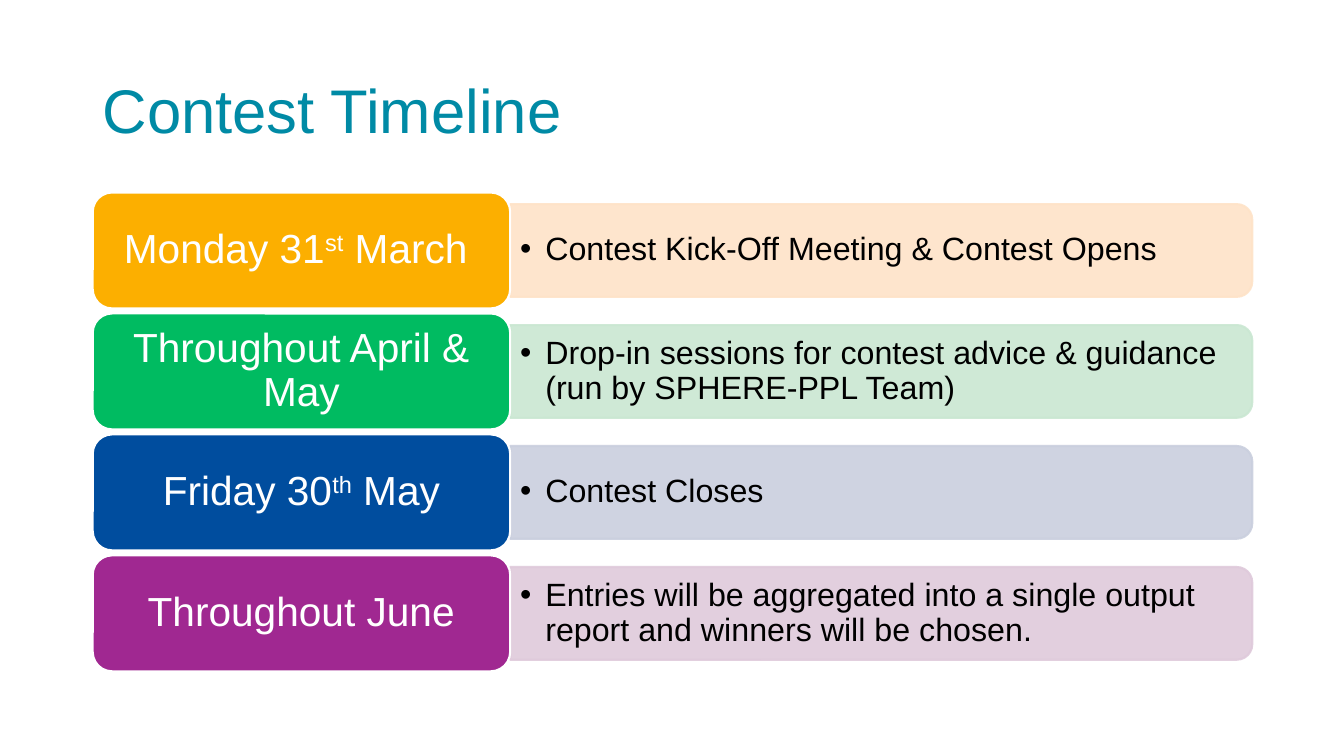
from pptx import Presentation
from pptx import util as u
from pptx.dml.color import RGBColor
from pptx.enum import shapes, text
from pptx.oxml import ns
from lxml import etree

SLIDE_W, SLIDE_H = 13.33, 7.5
TEAL = RGBColor(0x00, 0x8A, 0xA5)
WHITE = RGBColor(0xFF, 0xFF, 0xFF)
BLACK = RGBColor(0x00, 0x00, 0x00)
AMBER, PEACH = RGBColor(0xFC, 0xAF, 0x00), RGBColor(0xFE, 0xE3, 0xC8)
GREEN, MINT = RGBColor(0x00, 0xBB, 0x61), RGBColor(0xCA, 0xE7, 0xD2)
BLUE, MIST = RGBColor(0x00, 0x4D, 0x9E), RGBColor(0xCA, 0xCF, 0xDE)
PURPLE, LILAC = RGBColor(0xA0, 0x28, 0x91), RGBColor(0xDF, 0xCA, 0xDB)

# Date parts alternate between normal and superscript
STAGES = [
    (["Monday 31", "st", " March "], "Contest Kick-Off Meeting & Contest Opens", AMBER, PEACH),
    (["Throughout April & May"],
     "Drop-in sessions for contest advice & guidance (run by SPHERE-PPL Team)", GREEN, MINT),
    (["Friday 30", "th", " May"], "Contest Closes", BLUE, MIST),
    (["Throughout June"],
     "Entries will be aggregated into a single output report and winners will be chosen.",
     PURPLE, LILAC),
]
TITLE_BOX = (0.92, 0.4, 11.5, 1.45)
TIMELINE_BOX = (0.92, 1.91, 11.5, 4.75)
ROW_GAP = 0.05
DATE_SHARE = 0.36   # of the timeline width
BAR_SHARE = 0.8     # of the row height
CORNER = 0.167


def inches(*lengths):
    return [u.Inches(length) for length in lengths]


def write(frame, parts, size, color, align=text.PP_ALIGN.LEFT, inset=(0.1, 0.05)):
    """Fill a frame with one paragraph; every second part is superscript."""
    across, down = inches(*inset)
    frame_format = {
        "word_wrap": True, "vertical_anchor": text.MSO_ANCHOR.MIDDLE,
        "margin_left": across, "margin_right": across,
        "margin_top": down, "margin_bottom": down,
    }
    for name, value in frame_format.items():
        setattr(frame, name, value)
    paragraph = frame.paragraphs[0]
    paragraph.alignment = align
    paragraph.line_spacing = 0.9
    for index, part in enumerate(parts):
        run = paragraph.add_run()
        run.text = part
        for name, value in {"size": u.Pt(size), "name": "Arial"}.items():
            setattr(run.font, name, value)
        run.font.color.rgb = color
        if index % 2:
            run.font._element.set("baseline", "30000")
    return paragraph


def add_bullet(paragraph, indent):
    props = paragraph._p.get_or_add_pPr()
    props.set("marL", str(u.Inches(indent)))
    props.set("indent", str(-u.Inches(indent)))
    etree.SubElement(props, ns.qn("a:buFont")).set("typeface", "Arial")
    etree.SubElement(props, ns.qn("a:buChar")).set("char", "•")


def add_panel(slide, kind, box, adjustments, fill, line):
    panel = slide.shapes.add_shape(kind, *inches(*box))
    for index, value in enumerate(adjustments):
        panel.adjustments[index] = value
    panel.shadow.inherit = False
    panel.fill.solid()
    panel.fill.fore_color.rgb = fill
    panel.line.color.rgb = line
    panel.line.width = u.Pt(1.5)
    return panel


def add_title(slide, box):
    title = slide.shapes.add_textbox(*inches(*box))
    write(title.text_frame, ["Contest Timeline"], 44, TEAL)


def add_stage(slide, box, date, event, strong, pale):
    left, top, width, height = box
    date_w = width * DATE_SHARE
    bar_left, bar_w, bar_h = left + date_w, width - date_w, height * BAR_SHARE

    # Pale bar: an upright shape turned so its round end points right
    middle_x, middle_y = bar_left + bar_w / 2, top + height / 2
    upright = (middle_x - bar_h / 2, middle_y - bar_w / 2, bar_h, bar_w)
    bar = add_panel(slide, shapes.MSO_SHAPE.ROUND_2_SAME_RECTANGLE, upright,
                    (CORNER, 0), pale, pale)
    bar.rotation = 90
    for color in bar._element.spPr.iter(ns.qn("a:srgbClr")):
        etree.SubElement(color, ns.qn("a:alpha")).set("val", "90000")

    # Event text
    event_h = bar_h * 0.9
    event_box = (bar_left, middle_y - event_h / 2, bar_w - 0.04, event_h)
    event_text = slide.shapes.add_textbox(*inches(*event_box))
    add_bullet(write(event_text.text_frame, [event], 23, BLACK), 0.25)

    # Date block
    block = add_panel(slide, shapes.MSO_SHAPE.ROUNDED_RECTANGLE,
                      (left, top, date_w, height), (CORNER,), strong, WHITE)
    write(block.text_frame, date, 29, WHITE, text.PP_ALIGN.CENTER, (0.12, 0.06))


def add_timeline(slide, box):
    left, top, width, height = box
    pitch = (height + ROW_GAP) / len(STAGES)
    for row, stage in enumerate(STAGES):
        add_stage(slide, (left, top + row * pitch, width, pitch - ROW_GAP), *stage)


def main():
    deck = Presentation()
    deck.slide_width, deck.slide_height = inches(SLIDE_W, SLIDE_H)
    slide = deck.slides.add_slide(deck.slide_layouts[6])
    add_title(slide, TITLE_BOX)
    add_timeline(slide, TIMELINE_BOX)
    deck.save("out.pptx")


if __name__ == "__main__":
    main()
